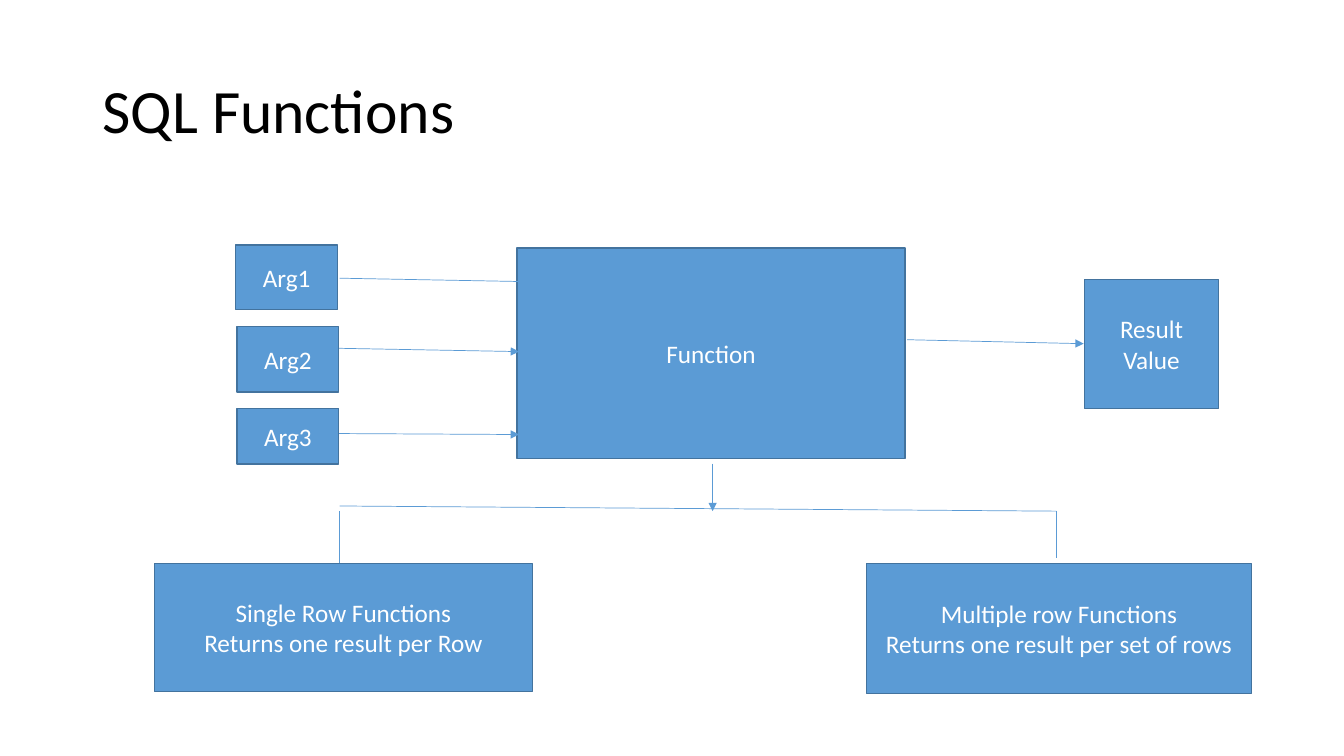
"""Build the SQL functions slide."""
from lxml import etree
from pptx import Presentation
from pptx.dml.color import RGBColor
from pptx.enum import shapes, text
from pptx.oxml.ns import qn
from pptx.util import Cm, Pt

BLUE = RGBColor(0x5B, 0x9B, 0xD5)
EDGE = RGBColor(0x43, 0x73, 0x9E)
WHITE = RGBColor(0xFF, 0xFF, 0xFF)
BLACK = RGBColor(0, 0, 0)


class Board:
    font = "Calibri"

    def __init__(self, deck):
        self.slide = deck.slides.add_slide(deck.slide_layouts[5])

    def label(self, frame, words, size, color, align):
        frame.text = words
        frame.word_wrap = True
        frame.vertical_anchor = text.MSO_ANCHOR.MIDDLE
        for para in frame.paragraphs:
            para.alignment = align
            para.font.name = self.font
            para.font.size = Pt(size)
            para.font.color.rgb = color

    def title(self, words, left, top, width, height):
        head = self.slide.shapes.title
        head.left, head.top = Cm(left), Cm(top)
        head.width, head.height = Cm(width), Cm(height)
        self.label(head.text_frame, words, 44, BLACK, text.PP_ALIGN.LEFT)
        head.text_frame.paragraphs[0].line_spacing = 0.9

    def box(self, words, left, top, width, height):
        box = self.slide.shapes.add_shape(
            shapes.MSO_SHAPE.RECTANGLE, Cm(left), Cm(top), Cm(width), Cm(height))
        box.shadow.inherit = False
        box.fill.solid()
        box.fill.fore_color.rgb = BLUE
        box.line.color.rgb = EDGE
        box.line.width = Pt(1)
        self.label(box.text_frame, words, 18, WHITE, text.PP_ALIGN.CENTER)

    def line(self, x1, y1, x2, y2, arrow=False):
        link = self.slide.shapes.add_connector(
            shapes.MSO_CONNECTOR.STRAIGHT, Cm(x1), Cm(y1), Cm(x2), Cm(y2))
        link.line.color.rgb = BLUE
        link.line.width = Pt(0.5)
        props = link._element.spPr
        if arrow:
            tail = etree.SubElement(props.find(qn("a:ln")), qn("a:tailEnd"))
            tail.set("type", "triangle")
        etree.SubElement(props, qn("a:effectLst"))


deck = Presentation()
deck.slide_width, deck.slide_height = Cm(33.87), Cm(19.05)
board = Board(deck)
board.title("SQL Functions", 2.33, 1.01, 29.21, 3.68)
board.box("Function", 13.03, 6.25, 9.78, 5.31)

for ends in [(8.56, 7.01, 13.97, 7.11), (7.65, 8.76, 13.08, 8.86),
             (7.65, 10.92, 13.08, 10.95), (22.86, 8.56, 27.31, 8.66)]:
    board.line(*ends, arrow=True)

args = [(5.94, 6.17, 1.63), (5.97, 8.23, 1.65), (5.97, 10.29, 1.4)]
for num, (left, top, height) in enumerate(args, 1):
    board.box(f"Arg{num}", left, top, 2.57, height)
board.box("Result Value", 27.33, 7.04, 3.38, 3.25)

mid, west, east, fork = 17.96, 8.56, 26.62, 12.88
board.line(mid, 11.68, mid, fork, arrow=True)
board.line(east, fork, west, 12.75)
board.line(west, fork, west, 14.2)
board.line(east, fork, east, 14.05)

board.box("Single Row Functions\nReturns one result per Row", 3.89, 14.2, 9.53, 3.23)
board.box("Multiple row Functions\nReturns one result per set of rows",
          21.84, 14.2, 9.7, 3.28)

deck.save("out.pptx")
